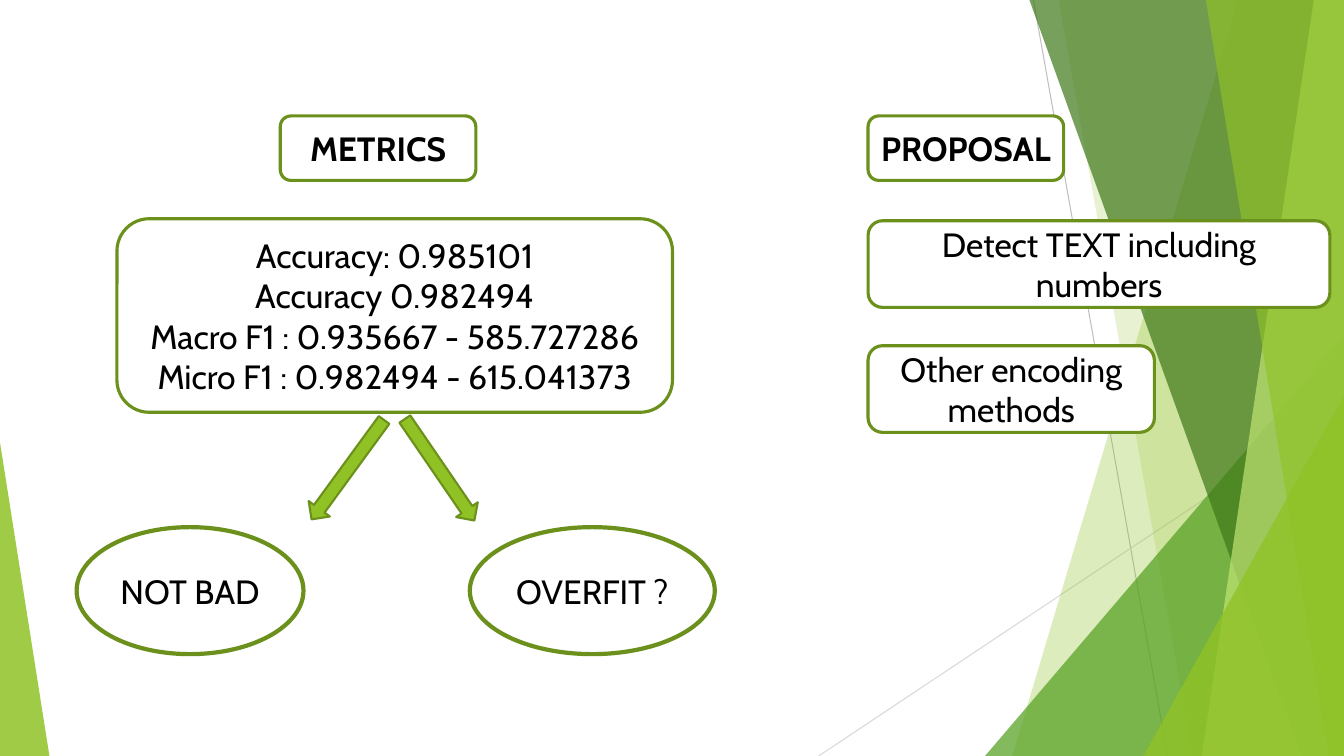
from lxml.etree import SubElement
from pptx import Presentation
from pptx.dml.color import RGBColor
from pptx.enum.shapes import MSO_CONNECTOR, MSO_SHAPE
from pptx.enum.text import MSO_ANCHOR, PP_ALIGN
from pptx.oxml.ns import qn
from pptx.util import Inches, Pt

WIDTH, HEIGHT = 13.33, 7.5
WHITE = RGBColor(0xFF, 0xFF, 0xFF)
BLACK = RGBColor(0x00, 0x00, 0x00)
LIME = RGBColor(0x90, 0xC2, 0x26)
PALE_LIME = RGBColor(0xC0, 0xE4, 0x74)
GREEN = RGBColor(0x54, 0xA0, 0x21)
DARK_GREEN = RGBColor(0x3F, 0x78, 0x19)
OUTLINE = RGBColor(0x6B, 0x90, 0x1C)
GREY = RGBColor(0xBF, 0xBF, 0xBF)
LIGHT_GREY = RGBColor(0xD9, 0xD9, 0xD9)


def paint(shape, fill, line=None, weight=0, opacity=100):
    """Flat fill with an optional outline and transparency."""
    shape.shadow.inherit = False
    shape.fill.solid()
    shape.fill.fore_color.rgb = fill
    if opacity < 100:
        color = shape.fill._xPr.find(qn("a:solidFill"))[0]
        SubElement(color, qn("a:alpha"), val=str(opacity * 1000))
    if line is None:
        shape.line.fill.background()
    else:
        shape.line.color.rgb = line
        shape.line.width = Pt(weight)


def add_hairline(slide, start, end, color):
    hairline = slide.shapes.add_connector(
        MSO_CONNECTOR.STRAIGHT, *(Inches(v) for v in start + end))
    hairline.line.color.rgb = color
    hairline.line.width = Pt(0.75)
    SubElement(hairline._element.spPr, qn("a:effectLst"))


def add_band(slide, box, top_x, bottom_x, color, opacity):
    """Slanted band that fills the box from its left edge to the right."""
    left, top, width, height = box
    right, bottom = left + width, top + height
    corners = [(top_x, top), (right, top), (right, bottom), (bottom_x, bottom)]
    points = [(Inches(x), Inches(y)) for x, y in corners]
    outline = slide.shapes.build_freeform(*points[0])
    outline.add_line_segments(points[1:])
    paint(outline.convert_to_shape(), color, opacity=opacity)


def add_corner(slide, box, width, height, apex, color, opacity):
    """Right triangle in a bottom corner: apex 0 is left, 1 is right."""
    left = box[0] + (box[2] - width) * apex
    top = box[1] + box[3] - height
    corner = slide.shapes.add_shape(
        MSO_SHAPE.ISOSCELES_TRIANGLE,
        Inches(left), Inches(top), Inches(width), Inches(height))
    corner.adjustments[0] = apex
    paint(corner, color, opacity=opacity)


def add_facets(slide, box):
    """Green background facets, from back to front."""
    left, top, width, height = box
    right, bottom = left + width, top + height
    add_hairline(slide, (10.25, top), (11.58, bottom), GREY)
    add_hairline(slide, (right, 4.03), (8.12, bottom), LIGHT_GREY)
    add_band(slide, box, 12.28, 10.04, LIME, 30)
    add_band(slide, box, 10.5, 11.83, LIME, 20)
    add_corner(slide, box, 3.56, 4.17, 1, GREEN, 72)
    add_band(slide, box, 10.21, 12.91, DARK_GREEN, 70)
    add_band(slide, box, 13.03, 11.92, PALE_LIME, 70)
    add_band(slide, box, 11.96, 13.18, LIME, 65)
    add_corner(slide, box, 1.99, 3.57, 1, LIME, 80)
    add_corner(slide, box, 0.49, 3.11, 0, LIME, 85)


def add_label(slide, kind, box, lines, weight=2.25, bold=False):
    """White outlined shape with centred text."""
    label = slide.shapes.add_shape(kind, *(Inches(v) for v in box))
    paint(label, WHITE, OUTLINE, weight)
    frame = label.text_frame
    frame.word_wrap = True
    frame.vertical_anchor = MSO_ANCHOR.MIDDLE
    paragraph = frame.paragraphs[0]
    paragraph.alignment = PP_ALIGN.CENTER
    look = {"name": "Cabin", "size": Pt(24), "bold": bold}
    for number, line in enumerate(lines):
        if number:
            paragraph.add_line_break()
        run = paragraph.add_run()
        run.text = line
        for attribute, value in look.items():
            setattr(run.font, attribute, value)
        run.font.color.rgb = BLACK


def add_metrics(slide, left, top):
    """Scores, with two arrows leading to the possible verdicts."""
    rounded = MSO_SHAPE.ROUNDED_RECTANGLE
    add_label(slide, rounded, (left + 2.02, top, 1.94, 0.64),
              ["METRICS"], bold=True)
    add_label(slide, rounded, (left + 0.4, top + 1.02, 5.51, 1.92), [
        "Accuracy: 0.985101",
        "Accuracy 0.982494",
        "Macro F1 : 0.935667 - 585.727286",
        "Micro F1 : 0.982494 - 615.041373",
    ])
    verdicts = [
        ("NOT BAD", 0, 2.25, 2.56, 36.1),
        ("OVERFIT ?", 3.9, 2.43, 3.47, 325.6),
    ]
    for verdict, x, width, arrow_x, angle in verdicts:
        arrow = slide.shapes.add_shape(
            MSO_SHAPE.DOWN_ARROW, Inches(left + arrow_x), Inches(top + 2.9),
            Inches(0.26), Inches(1.22))
        arrow.rotation = angle
        paint(arrow, LIME, OUTLINE, 1.5)
        add_label(slide, MSO_SHAPE.OVAL, (left + x, top + 4.08, width, 1.26),
                  [verdict], weight=3)


def add_proposal(slide, left, top):
    """Proposed next steps, stacked under their heading."""
    rounded = MSO_SHAPE.ROUNDED_RECTANGLE
    add_label(slide, rounded, (left, top, 1.94, 0.64), ["PROPOSAL"], bold=True)
    steps = [("Detect TEXT including numbers", 4.58),
             ("Other encoding methods", 2.84)]
    for number, (step, width) in enumerate(steps):
        add_label(slide, rounded,
                  (left, top + 1.04 + 1.24 * number, width, 0.86), [step])


def main():
    deck = Presentation()
    deck.slide_width, deck.slide_height = Inches(WIDTH), Inches(HEIGHT)
    slide = deck.slides.add_slide(deck.slide_layouts[6])
    add_facets(slide, (0, 0, WIDTH, HEIGHT))
    add_metrics(slide, 0.76, 1.15)
    add_proposal(slide, 8.61, 1.15)
    deck.save("out.pptx")


if __name__ == "__main__":
    main()
